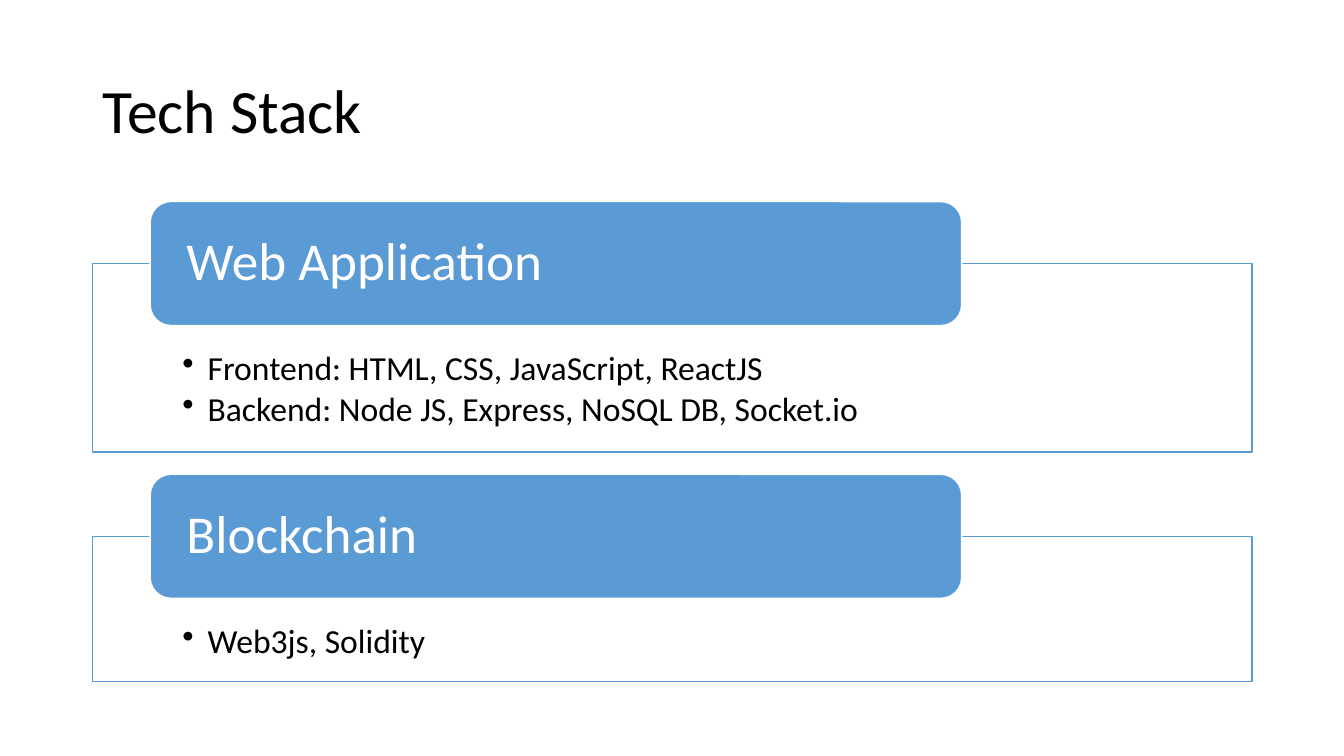
from lxml.etree import SubElement
from pptx import Presentation
from pptx.dml.color import RGBColor
from pptx.enum.shapes import MSO_SHAPE as Shape
from pptx.enum.text import MSO_ANCHOR as Anchor, PP_ALIGN as Align
from pptx.oxml.ns import qn
from pptx.util import Pt

BLACK = RGBColor(0, 0, 0)
WHITE = RGBColor(255, 255, 255)
BLUE = RGBColor(0x5B, 0x9B, 0xD5)

LEFT, WIDTH = 66.24, 828
HEADER_LEFT, HEADER_WIDTH, HEADER_HEIGHT = 107.28, 579.6, 88.56
STACK_TOP, STACK_GAP = 144, 15.9

SECTIONS = [
    ("Web Application", 134.64, [
        "Frontend: HTML, CSS, JavaScript, ReactJS",
        "Backend: Node JS, Express, NoSQL DB, Socket.io",
    ]),
    ("Blockchain", 103.68, ["Web3js, Solidity"]),
]


def write(box, lines, size, color, anchor, margins):
    frame = box.text_frame
    frame.word_wrap = True
    frame.vertical_anchor = anchor
    frame.margin_left, frame.margin_top, frame.margin_right, frame.margin_bottom = map(Pt, margins)
    for index, line in enumerate(lines):
        para = frame.paragraphs[0] if index == 0 else frame.add_paragraph()
        para.text = line
        para.alignment = Align.LEFT
        para.line_spacing = 0.9
        para.font.size = Pt(size)
        para.font.name = "Calibri"
        para.font.color.rgb = color
    return frame.paragraphs


def add_bullet(para):
    para.space_after = Pt(3.6)
    properties = para._p.get_or_add_pPr()
    properties.set("marL", str(Pt(18)))
    properties.set("indent", str(-Pt(18)))
    bullet = SubElement(properties, qn("a:buChar"), char="•")
    properties.find(qn("a:defRPr")).addprevious(bullet)


def add_panel(page, kind, left, top, width, height, fill, line):
    box = page.shapes.add_shape(kind, Pt(left), Pt(top), Pt(width), Pt(height))
    box.shadow.inherit = False
    box.fill.solid()
    box.fill.fore_color.rgb = fill
    box.line.color.rgb = line
    box.line.width = Pt(1)
    return box


def add_title(page, text):
    box = page.shapes.add_textbox(Pt(LEFT), Pt(28.8), Pt(WIDTH), Pt(104.4))
    write(box, [text], 44, BLACK, Anchor.MIDDLE, (7.2, 3.6, 7.2, 3.6))


def add_section(page, top, heading, height, items):
    frame_top = top + HEADER_HEIGHT / 2
    body = add_panel(page, Shape.RECTANGLE, LEFT, frame_top, WIDTH, height, WHITE, BLUE)
    color = body.fill._xPr.find(qn("a:solidFill"))[0]
    SubElement(color, qn("a:alpha"), val="90000")
    for para in write(body, items, 24, BLACK, Anchor.TOP, (64.08, 62.64, 64.08, 13.68)):
        add_bullet(para)
    header = add_panel(page, Shape.ROUNDED_RECTANGLE, HEADER_LEFT, top,
                       HEADER_WIDTH, HEADER_HEIGHT, BLUE, WHITE)
    write(header, [heading], 38, WHITE, Anchor.MIDDLE, (21.6, 0, 21.6, 0))
    return frame_top + height


def main():
    deck = Presentation()
    deck.slide_width, deck.slide_height = Pt(960), Pt(540)
    page = deck.slides.add_slide(deck.slide_layouts[6])
    add_title(page, "Tech Stack")
    top = STACK_TOP
    for heading, height, items in SECTIONS:
        top = add_section(page, top, heading, height, items) + STACK_GAP
    deck.save("out.pptx")


main()
